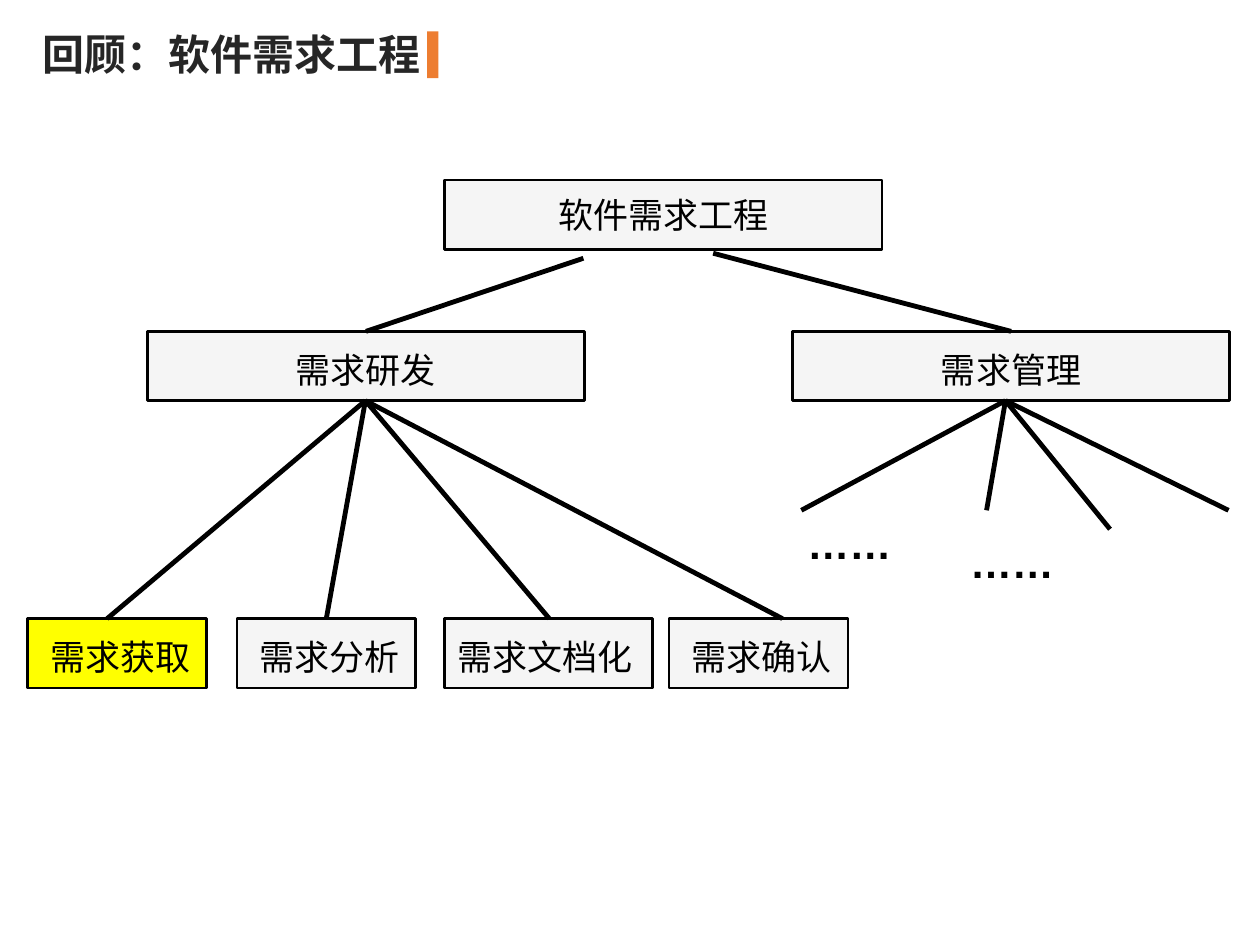
from lxml import etree
from pptx import Presentation
from pptx.dml.color import RGBColor
from pptx.enum import shapes, text
from pptx.oxml import ns
from pptx.util import Inches, Pt

CJK_FONT = "Noto Sans CJK SC"
BLACK = RGBColor(0x00, 0x00, 0x00)
TITLE_GREY = RGBColor(0x26, 0x26, 0x26)
ORANGE = RGBColor(0xED, 0x7D, 0x31)
PALE_GREY = RGBColor(0xF5, 0xF5, 0xF5)
YELLOW = RGBColor(0xFF, 0xFF, 0x00)
NODE_HEIGHT = 0.55


def write_text(shape, words, size, font=CJK_FONT, color=BLACK, bold=False,
               align=text.PP_ALIGN.LEFT):
    frame = shape.text_frame
    frame.text = words
    frame.vertical_anchor = text.MSO_ANCHOR.MIDDLE
    para = frame.paragraphs[0]
    para.alignment = align
    span = para.runs[0]
    span.font.name = font
    span.font.size = Pt(size)
    span.font.bold = bold
    span.font.color.rgb = color
    # East Asian characters take their font from a separate element
    east_asian = etree.SubElement(span.font._element, ns.qn("a:ea"))
    east_asian.set("typeface", font)
    return frame


def add_rectangle(page, box, fill):
    rectangle = page.shapes.add_shape(shapes.MSO_SHAPE.RECTANGLE, *map(Inches, box))
    rectangle.shadow.inherit = False
    rectangle.fill.solid()
    rectangle.fill.fore_color.rgb = fill
    rectangle.line.fill.background()
    return rectangle


def add_node(page, words, box, fill=PALE_GREY, indent=None, drop=0.05):
    """Centre the words, or start them at the given indent."""
    node = add_rectangle(page, box, fill)
    node.line.color.rgb = BLACK
    node.line.width = Pt(1.5)
    align = text.PP_ALIGN.CENTER if indent is None else text.PP_ALIGN.LEFT
    frame = write_text(node, words, 20, align=align)
    frame.margin_left = Inches(indent or 0)
    frame.margin_right = frame.margin_bottom = 0
    frame.margin_top = Inches(drop)


def add_branch(page, start, end):
    branch = page.shapes.add_connector(
        shapes.MSO_CONNECTOR.STRAIGHT, *map(Inches, start + end))
    branch.line.color.rgb = BLACK
    branch.line.width = Pt(2.75)
    etree.SubElement(branch._element.spPr, ns.qn("a:effectLst"))


def add_fan(page, hub, ends):
    for end in ends:
        add_branch(page, hub, end)


def add_heading(page, box):
    left, top, width, height = box
    title = page.shapes.title
    title.left, title.top, title.width, title.height = map(Inches, box)
    frame = write_text(title, "回顾：软件需求工程", 24, color=TITLE_GREY, bold=True)
    frame.word_wrap = False
    frame.auto_size = text.MSO_AUTO_SIZE.NONE
    # Accent bar after the title
    add_rectangle(page, (left + width - 0.08, top + 0.07, 0.09, 0.37), ORANGE)


def add_top_levels(page, box):
    left, top, width, height = box
    node_width = 3.47
    middle_top = top + 1.2
    add_node(page, "软件需求工程", (left + 2.36, top, node_width, NODE_HEIGHT), drop=0)
    for words, node_left in (("需求研发", left), ("需求管理", left + width - node_width)):
        add_node(page, words, (node_left, middle_top, node_width, NODE_HEIGHT))
    add_branch(page, (4.63, top + 0.62), (left + node_width / 2, middle_top))
    add_branch(page, (5.66, top + 0.58), (left + width - node_width / 2, middle_top))


def add_development_tasks(page, box):
    left, top, width, height = box
    leaf_top = top + height - NODE_HEIGHT
    # Words, left offset, width, text indent, fill
    leaves = (
        ("需求获取", 0, 1.42, 0.18, YELLOW),
        ("需求分析", 1.66, 1.42, 0.18, PALE_GREY),
        ("需求文档化", 3.31, 1.65, 0.1, PALE_GREY),
        ("需求确认", 5.09, 1.42, 0.18, PALE_GREY),
    )
    for words, offset, leaf_width, indent, fill in leaves:
        add_node(page, words, (left + offset, leaf_top, leaf_width, NODE_HEIGHT),
                 fill, indent)
    add_fan(page, (2.9, top), [(x, leaf_top) for x in (0.85, 2.59, 4.36, 6.21)])


def add_management_tasks(page, box):
    left, top, width, height = box
    upper, lower = top + 0.87, top + 1.02
    add_fan(page, (7.98, top),
            [(left + 0.05, upper), (7.83, upper), (8.81, lower), (left + width, upper)])
    # Tasks left open
    for dots_box in ((left, upper, 0.99, 0.51), (left + 1.29, lower, 1.59, 0.51)):
        dots = page.shapes.add_textbox(*map(Inches, dots_box))
        frame = write_text(dots, "……", 24, font="Arial", bold=True)
        frame.word_wrap = True


def main():
    deck = Presentation()
    deck.slide_width, deck.slide_height = Inches(10), Inches(7.5)
    page = deck.slides.add_slide(deck.slide_layouts.get_by_name("Title Only"))
    add_heading(page, (0.24, 0.18, 3.23, 0.5))
    add_top_levels(page, (1.17, 1.43, 8.59, 1.75))
    add_development_tasks(page, (0.22, 3.18, 6.51, 2.28))
    add_management_tasks(page, (6.31, 3.18, 3.44, 1.53))
    deck.save("out.pptx")


if __name__ == "__main__":
    main()
